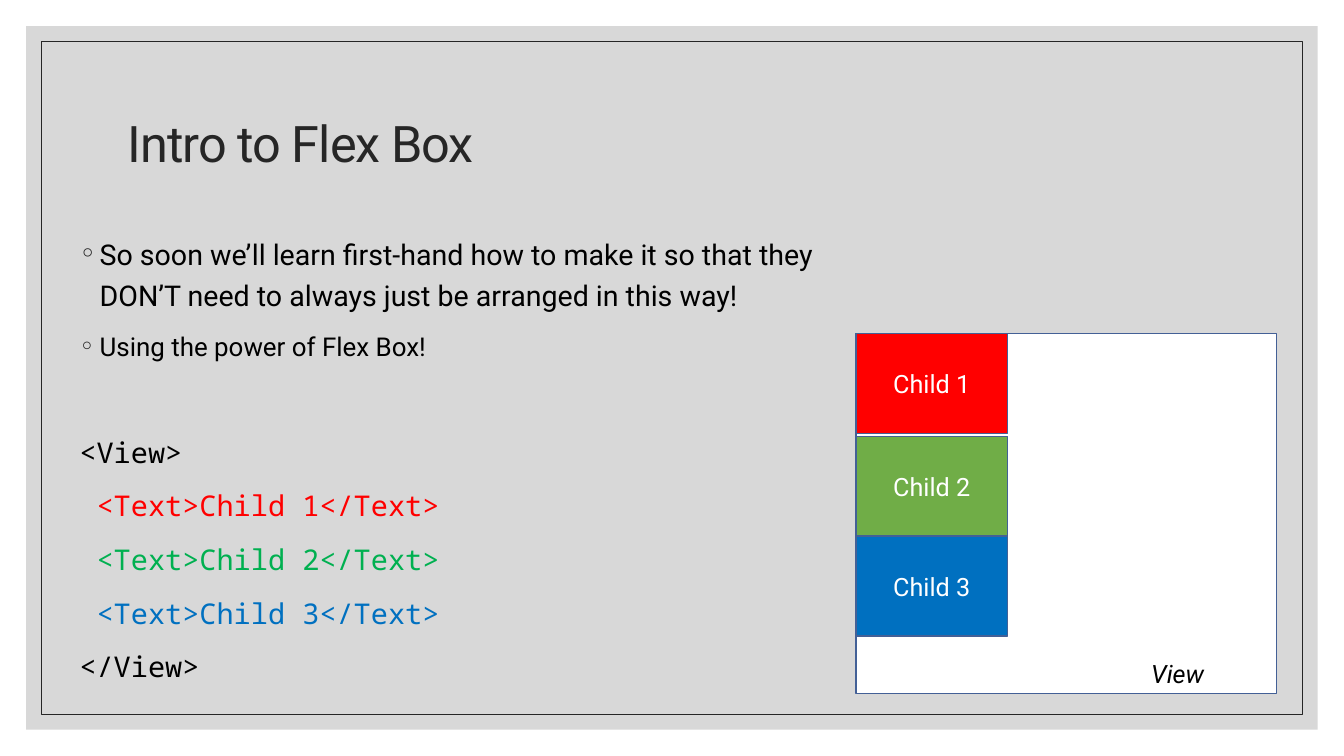
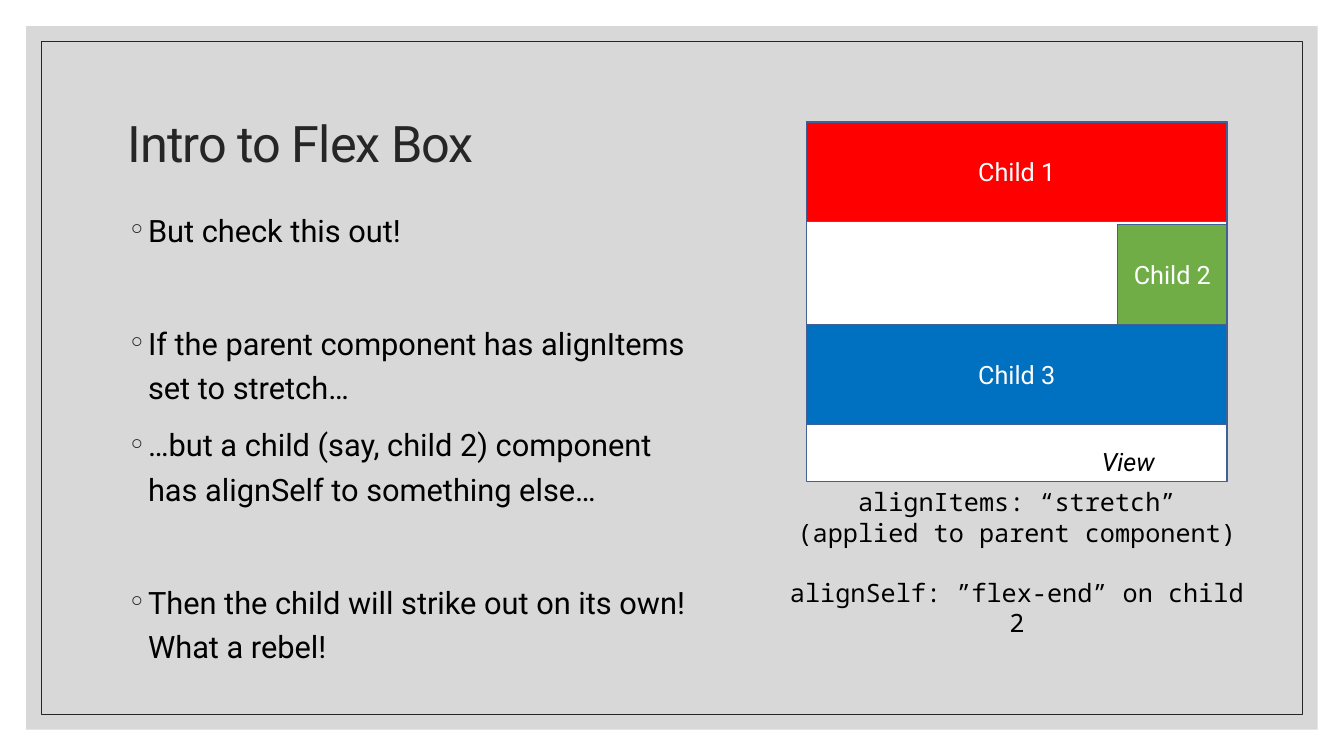
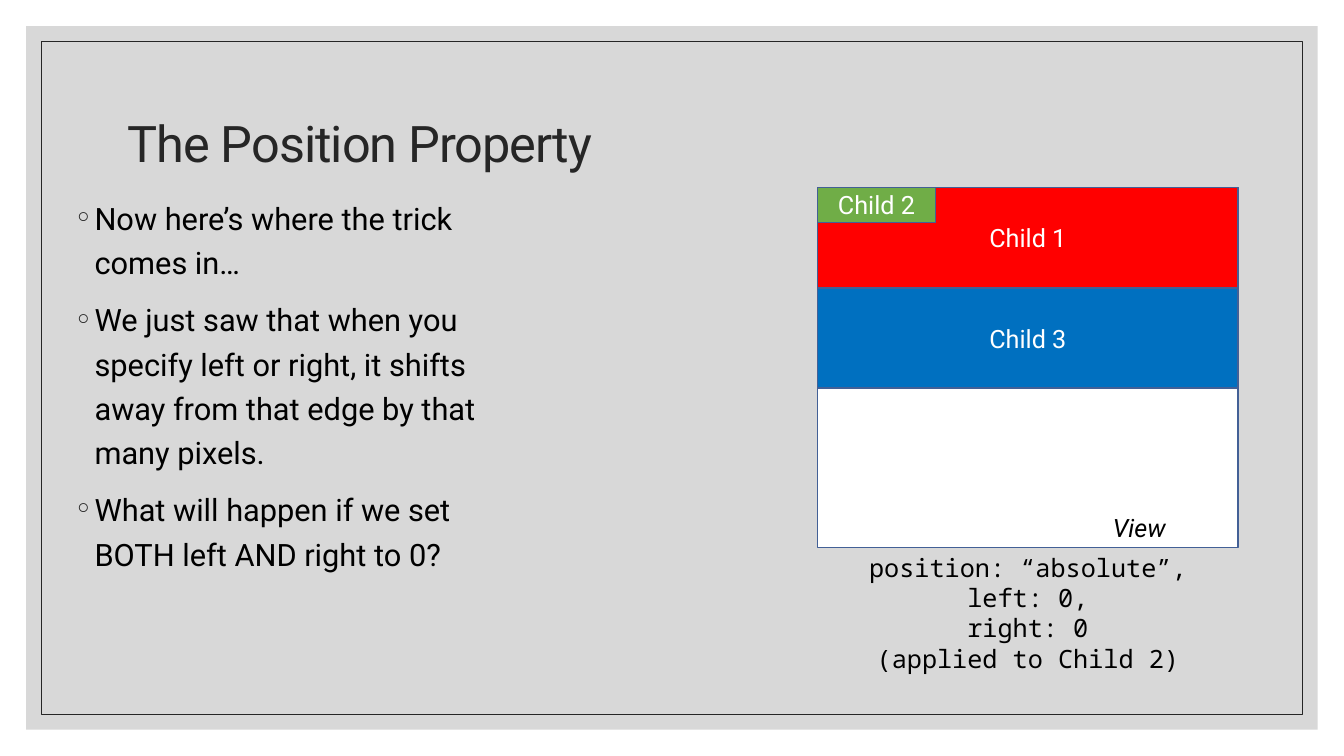
from dataclasses import dataclass
from typing import Any

from lxml.etree import SubElement
from pptx import Presentation
from pptx.dml.color import RGBColor
from pptx.enum.shapes import MSO_SHAPE
from pptx.enum.text import MSO_ANCHOR, MSO_AUTO_SIZE, PP_ALIGN
from pptx.oxml.ns import qn
from pptx.util import Inches, Pt


# Theme
@dataclass(frozen=True)
class Theme:
    text_font: str = "Roboto"
    code_font: str = "Noto Sans Mono"
    panel: str = "BFBFBF"
    panel_alpha: int = 60
    ink: str = "262626"
    black: str = "000000"
    white: str = "FFFFFF"
    red: str = "FF0000"
    green: str = "70AD47"
    code_green: str = "00B050"
    blue: str = "0070C0"
    outline: str = "436096"
    title_size: float = 36
    title_tracking: float = -0.7
    body_size: float = 22
    code_size: float = 20.4
    small_body_size: float = 18.5
    label_size: float = 18
    paragraph_gap: float = 9


THEME = Theme()
SLIDE_WIDTH, SLIDE_HEIGHT = 13.33, 7.5
PANEL_MARGIN, FRAME_MARGIN = 0.26, 0.41
VIEW_WIDTH, VIEW_HEIGHT = 4.17, 3.57
ROW_HEIGHT = 0.99
BODY_HEIGHT = 4.94
BULLET_INDENT = 0.2
CAPTION_HEIGHT = 1.31


@dataclass(frozen=True)
class Box:
    left: float
    top: float
    width: float
    height: float

    def lengths(self) -> tuple:
        return tuple(Inches(value) for value in
                     (self.left, self.top, self.width, self.height))


@dataclass(frozen=True)
class Line:
    text: str
    size: float = THEME.body_size
    font: str = THEME.text_font
    colour: str = THEME.black
    gap: float = THEME.paragraph_gap
    spacing: float = 1.2
    bullet: bool = False
    italic: bool = False
    tracking: float = 0
    align: Any = None


@dataclass(frozen=True)
class Child:
    """Left and width are shares of the view; top and height are rows."""
    label: str
    colour: str
    left: float = 0
    top: float = 0
    width: float = 1
    height: float = 1


@dataclass(frozen=True)
class FlexSlide:
    title: str
    body: Box
    lines: list[Line]
    view_left: float
    view_top: float
    children: list[Child]
    caption_width: float = 0
    caption: tuple[Line, ...] = ()


# Text
def set_all(target: Any, values: dict[str, Any]) -> None:
    for name, value in values.items():
        setattr(target, name, value)


def write_lines(frame: Any, lines: list[Line] | tuple[Line, ...]) -> None:
    for index, line in enumerate(lines):
        paragraph = frame.add_paragraph() if index else frame.paragraphs[0]
        set_all(paragraph, {
            "alignment": line.align,
            "line_spacing": line.spacing,
            "space_before": Pt(line.gap if index else 0),
        })
        if line.bullet:
            add_bullet(paragraph)
        run = paragraph.add_run()
        run.text = line.text
        set_all(run.font, {"name": line.font, "size": Pt(line.size),
                           "italic": line.italic})
        run.font.color.rgb = RGBColor.from_string(line.colour)
        if line.tracking:
            run.font._element.set("spc", str(round(line.tracking * 100)))


def add_bullet(paragraph: Any) -> None:
    properties = paragraph._p.get_or_add_pPr()
    indent = Inches(BULLET_INDENT)
    properties.set("marL", str(indent))
    properties.set("indent", str(-indent))
    colour = SubElement(properties, qn("a:buClr"))
    SubElement(colour, qn("a:srgbClr")).set("val", THEME.ink)
    SubElement(properties, qn("a:buFont")).set("typeface", THEME.text_font)
    SubElement(properties, qn("a:buChar")).set("char", "◦")


def add_text(slide: Any, box: Box, lines: list[Line] | tuple[Line, ...],
             **frame_format: Any) -> None:
    frame = slide.shapes.add_textbox(*box.lengths()).text_frame
    set_all(frame, {"word_wrap": True, **frame_format})
    write_lines(frame, lines)


# Shapes
def add_rectangle(slide: Any, box: Box, fill: str | None = None,
                  line: str | None = None, line_width: float = 1) -> Any:
    shape = slide.shapes.add_shape(MSO_SHAPE.RECTANGLE, *box.lengths())
    shape.shadow.inherit = False
    if fill:
        shape.fill.solid()
        shape.fill.fore_color.rgb = RGBColor.from_string(fill)
    else:
        shape.fill.background()
    if line:
        shape.line.color.rgb = RGBColor.from_string(line)
        shape.line.width = Pt(line_width)
    else:
        shape.line.fill.background()
    return shape


def inset_box(margin: float) -> Box:
    return Box(margin, margin, SLIDE_WIDTH - 2 * margin, SLIDE_HEIGHT - 2 * margin)


def add_backdrop(slide: Any) -> None:
    panel = add_rectangle(slide, inset_box(PANEL_MARGIN), fill=THEME.panel)
    colour = panel._element.spPr.find(qn("a:solidFill")).find(qn("a:srgbClr"))
    SubElement(colour, qn("a:alpha")).set("val", str(THEME.panel_alpha * 1000))
    add_rectangle(slide, inset_box(FRAME_MARGIN), line=THEME.ink, line_width=0.5)


def add_view(slide: Any, left: float, top: float, children: list[Child]) -> None:
    add_rectangle(slide, Box(left, top, VIEW_WIDTH, VIEW_HEIGHT),
                  THEME.white, THEME.outline)
    for child in children:
        box = Box(left + child.left * VIEW_WIDTH, top + child.top * ROW_HEIGHT,
                  child.width * VIEW_WIDTH, child.height * ROW_HEIGHT)
        shape = add_rectangle(slide, box, child.colour, THEME.outline)
        shape.text_frame.vertical_anchor = MSO_ANCHOR.MIDDLE
        write_lines(shape.text_frame, [
            Line(child.label, THEME.label_size, colour=THEME.white, spacing=1,
                 align=PP_ALIGN.CENTER)])
    add_text(slide, Box(left + 2.83, top + 3.17, 0.77, 0.4),
             [Line("View", THEME.label_size, spacing=1, italic=True)],
             word_wrap=False, auto_size=MSO_AUTO_SIZE.SHAPE_TO_FIT_TEXT)


def add_flex_slide(presentation: Any, content: FlexSlide) -> None:
    slide = presentation.slides.add_slide(presentation.slide_layouts[6])
    add_backdrop(slide)
    add_text(slide, Box(1.17, 0.7, 11, 1.5),
             [Line(content.title, THEME.title_size, colour=THEME.ink,
                   spacing=0.9, tracking=THEME.title_tracking)],
             vertical_anchor=MSO_ANCHOR.MIDDLE)
    add_text(slide, content.body, content.lines)
    add_view(slide, content.view_left, content.view_top, content.children)
    if content.caption:
        centre = content.view_left + VIEW_WIDTH / 2
        add_text(slide, Box(centre - content.caption_width / 2,
                            content.view_top + VIEW_HEIGHT,
                            content.caption_width, CAPTION_HEIGHT),
                 content.caption, auto_size=MSO_AUTO_SIZE.SHAPE_TO_FIT_TEXT)


# Content
def bullet(text: str, size: float = THEME.body_size,
           gap: float = THEME.paragraph_gap) -> Line:
    return Line(text, size, gap=gap, bullet=True)


def code(text: str, colour: str = THEME.black,
         gap: float = THEME.paragraph_gap) -> Line:
    return Line(text, THEME.code_size, THEME.code_font, colour, gap)


def caption(text: str, gap: float = 0) -> Line:
    return Line(text, THEME.label_size, THEME.code_font, gap=gap, spacing=1,
                align=PP_ALIGN.CENTER)


SLIDES = [
    FlexSlide(
        "Intro to Flex Box", Box(0.69, 2.23, 7.8, BODY_HEIGHT),
        [bullet("So soon we’ll learn first-hand how to make it so that they "
                "DON’T need to always just be arranged in this way!",
                THEME.code_size),
         bullet("Using the power of Flex Box!", THEME.small_body_size),
         code("<View>", gap=47),
         code(" <Text>Child 1</Text>", THEME.red),
         code(" <Text>Child 2</Text>", THEME.code_green),
         code(" <Text>Child 3</Text>", THEME.blue),
         code("</View>")],
        8.49, 3.31,
        [Child("Child 1", THEME.red, width=0.36),
         Child("Child 2", THEME.green, top=1.03, width=0.36),
         Child("Child 3", THEME.blue, top=2.03, width=0.36)]),
    FlexSlide(
        "Intro to Flex Box", Box(1.17, 1.98, 5.88, BODY_HEIGHT),
        [bullet("But check this out!"),
         bullet("If the parent component has alignItems set to stretch…", gap=49),
         bullet("…but a child (say, child 2) component has alignSelf to "
                "something else…"),
         bullet("Then the child will strike out on its own! What a rebel!",
                gap=49)],
        8, 1.21,
        [Child("Child 1", THEME.red),
         Child("Child 2", THEME.green, left=0.74, top=1.03, width=0.26),
         Child("Child 3", THEME.blue, top=2.03)],
        4.95,
        (caption("alignItems: “stretch”"),
         caption("(applied to parent component)"),
         caption("alignSelf: ”flex-end” on child 2", gap=21.5))),
    FlexSlide(
        "The Position Property", Box(0.64, 1.86, 4.47, BODY_HEIGHT),
        [bullet("Now here’s where the trick comes in…"),
         bullet("We just saw that when you specify left or right, it shifts "
                "away from that edge by that many pixels."),
         bullet("What will happen if we set BOTH left AND right to 0?")],
        8.11, 1.86,
        [Child("Child 1", THEME.red),
         Child("Child 3", THEME.blue, top=1.01),
         Child("Child 2", THEME.green, width=0.28, height=0.35)],
        6.67,
        (caption("position: “absolute”,"), caption("left: 0,"),
         caption("right: 0"), caption("(applied to Child 2)"))),
]


def main() -> None:
    presentation = Presentation()
    set_all(presentation, {"slide_width": Inches(SLIDE_WIDTH),
                           "slide_height": Inches(SLIDE_HEIGHT)})
    for content in SLIDES:
        add_flex_slide(presentation, content)
    presentation.save("out.pptx")


if __name__ == "__main__":
    main()
